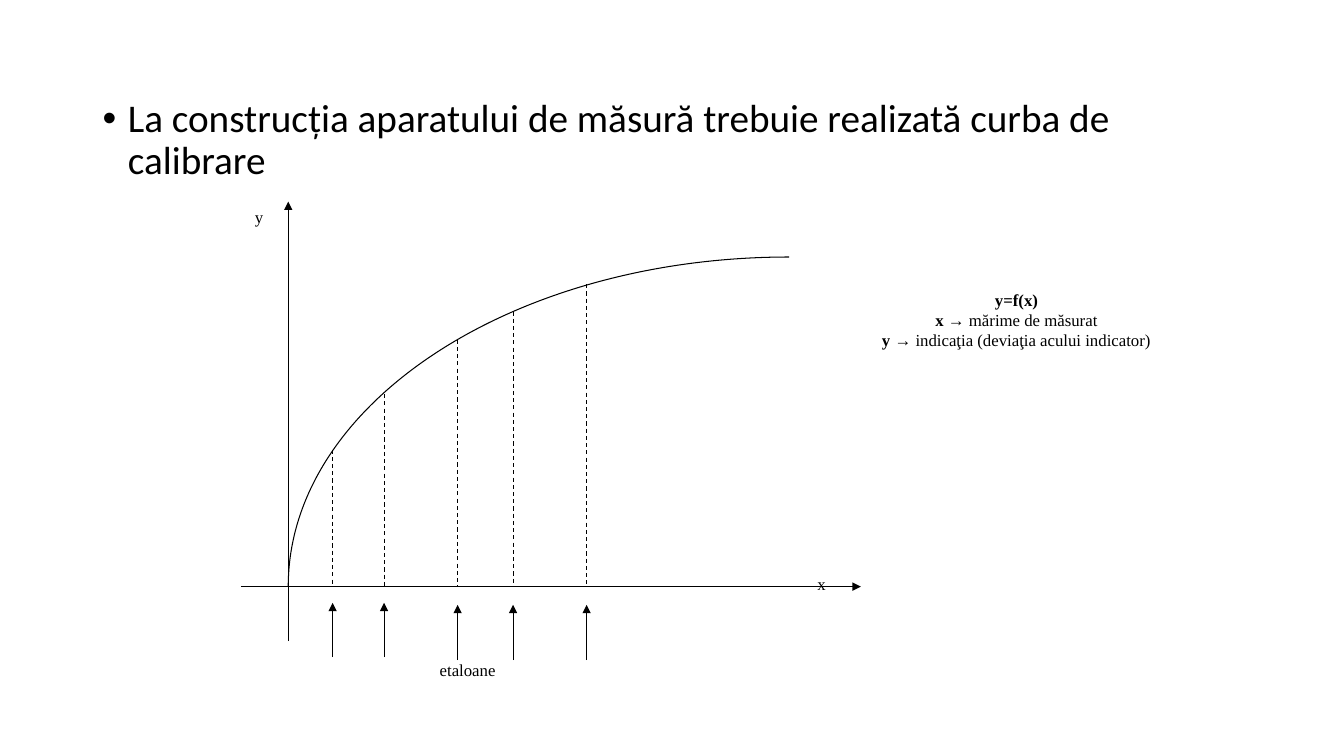
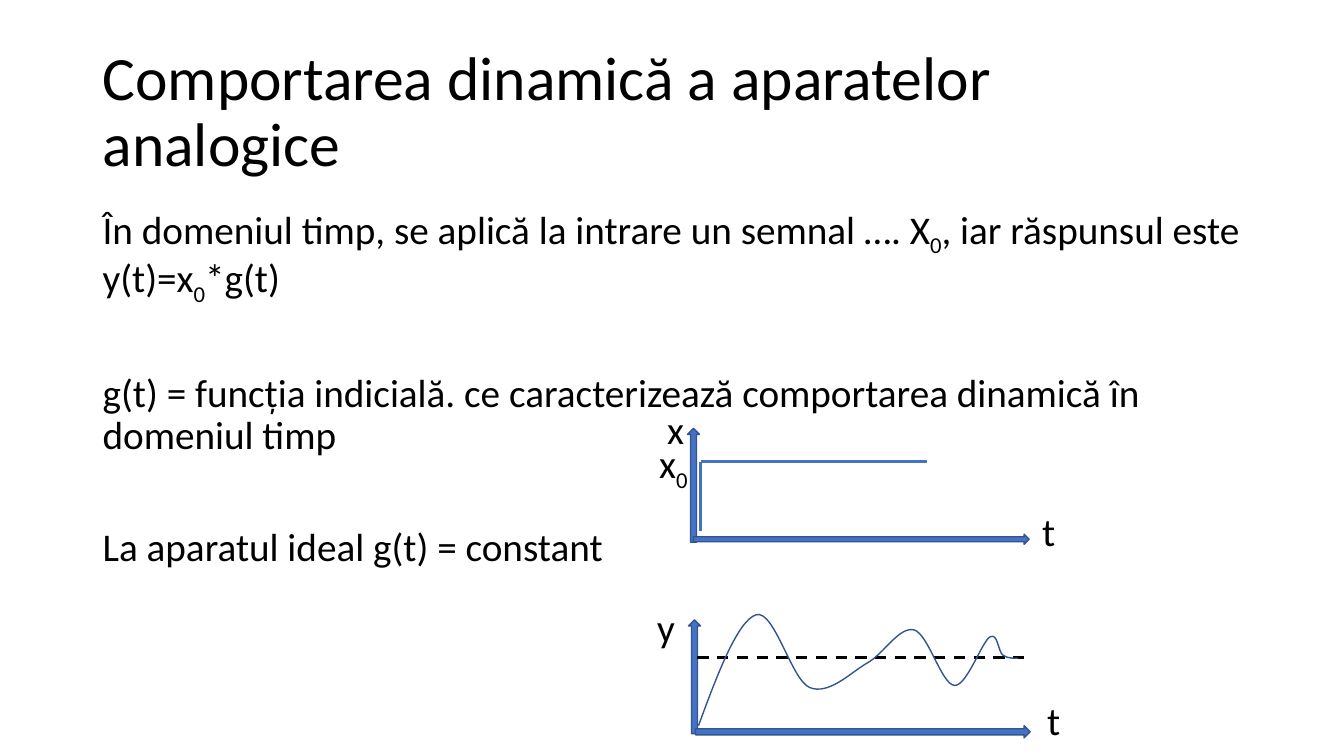
import dataclasses
import typing

import lxml.etree
import pptx
import pptx.dml.color
import pptx.enum.dml
import pptx.enum.shapes
import pptx.enum.text
import pptx.oxml.ns
import pptx.shapes.base
import pptx.slide
import pptx.util

EMU_PER_PX = 9144  # 100 px to the inch

RGB = pptx.dml.color.RGBColor
ALIGN = pptx.enum.text.PP_ALIGN
ANCHOR = pptx.enum.text.MSO_ANCHOR
SHAPE = pptx.enum.shapes.MSO_SHAPE
Point = tuple[int, int]
Bezier = tuple[Point, Point, Point]


@dataclasses.dataclass(frozen=True)
class Theme:
    ink: RGB = RGB(0x00, 0x00, 0x00)
    paper: RGB = RGB(0xFF, 0xFF, 0xFF)
    accent: RGB = RGB(0x44, 0x72, 0xC4)
    accent_dark: RGB = RGB(0x32, 0x54, 0x91)
    sans: str = "Calibri"
    serif: str = "Times New Roman"
    bullet: str = "Arial"
    title_pt: int = 44
    body_pt: int = 28
    label_pt: int = 12
    hairline_pt: float = 0.75
    outline_pt: float = 1
    signal_pt: float = 2


THEME = Theme()


class Box(typing.NamedTuple):
    left: int
    top: int
    width: int
    height: int


class Run(typing.NamedTuple):
    text: str
    bold: bool = False
    subscript: bool = False


@dataclasses.dataclass(frozen=True)
class Para:
    runs: tuple[Run, ...]
    space_before: int = 0
    line_spacing: float = 1.0
    align: ALIGN = ALIGN.LEFT
    bullet: bool = False


@dataclasses.dataclass(frozen=True)
class Label:
    box: Box
    paras: tuple[Para, ...]


@dataclasses.dataclass(frozen=True)
class Standard:
    """A calibration point: dashed ordinate and the arrow under it."""
    x: int
    curve_y: int
    arrow_tip: int
    arrow_foot: int


@dataclasses.dataclass(frozen=True)
class BlockArrow:
    kind: SHAPE
    box: Box


def px(n: int) -> int:
    return n * EMU_PER_PX


def plain(text: str, **options: typing.Any) -> Para:
    return Para((Run(text),), **options)


def body(*runs: Run, space_before: int = 10, bullet: bool = False) -> Para:
    return Para(runs, space_before, 0.9, bullet=bullet)


def add_child(parent: typing.Any, tag: str, **attrs: str) -> None:
    lxml.etree.SubElement(parent, pptx.oxml.ns.qn(tag), attrs)


def fill_text(sp: pptx.shapes.base.BaseShape, paras: typing.Sequence[Para],
              font: str, size: int) -> None:
    tf = sp.text_frame
    for i, para in enumerate(paras):
        p = tf.paragraphs[0] if i == 0 else tf.add_paragraph()
        p.alignment = para.align
        p.line_spacing = para.line_spacing
        p.space_before = pptx.util.Pt(para.space_before)
        if para.bullet:
            pPr = p._p.get_or_add_pPr()
            pPr.set("marL", str(px(25)))
            pPr.set("indent", str(px(-25)))
            add_child(pPr, "a:buFont", typeface=THEME.bullet)
            add_child(pPr, "a:buChar", char="•")
        for run in para.runs:
            r = p.add_run()
            r.text = run.text
            r.font.name = font
            r.font.size = pptx.util.Pt(size)
            r.font.bold = run.bold
            r.font.color.rgb = THEME.ink
            if run.subscript:
                r._r.get_or_add_rPr().set("baseline", "-25000")


def add_text(s: pptx.slide.Slide, box: Box, paras: typing.Sequence[Para],
             size: int = THEME.body_pt, wrap: bool = True,
             anchor: ANCHOR = ANCHOR.TOP) -> None:
    sp = s.shapes.add_textbox(*map(px, box))
    tf = sp.text_frame
    tf.word_wrap = wrap
    tf.vertical_anchor = anchor
    if not wrap:
        tf.auto_size = pptx.enum.text.MSO_AUTO_SIZE.SHAPE_TO_FIT_TEXT
    fill_text(sp, paras, THEME.sans, size)


def add_panel(s: pptx.slide.Slide, label: Label) -> None:
    sp = s.shapes.add_shape(SHAPE.RECTANGLE, *map(px, label.box))
    sp.shadow.inherit = False
    sp.fill.solid()
    sp.fill.fore_color.rgb = THEME.paper
    sp.line.fill.background()
    sp.text_frame.vertical_anchor = ANCHOR.TOP
    fill_text(sp, label.paras, THEME.serif, THEME.label_pt)


def add_block_arrow(s: pptx.slide.Slide, arrow: BlockArrow) -> None:
    sp = s.shapes.add_shape(arrow.kind, *map(px, arrow.box))
    sp.shadow.inherit = False
    sp.fill.solid()
    sp.fill.fore_color.rgb = THEME.accent
    sp.line.color.rgb = THEME.accent_dark
    sp.line.width = pptx.util.Pt(THEME.outline_pt)


def add_line(s: pptx.slide.Slide, start: Point, end: Point,
             width: float = THEME.hairline_pt, color: RGB = THEME.ink,
             dashed: bool = False, arrow: bool = False) -> None:
    c = s.shapes.add_connector(pptx.enum.shapes.MSO_CONNECTOR.STRAIGHT,
                               *map(px, (*start, *end)))
    c.line.color.rgb = color
    c.line.width = pptx.util.Pt(width)
    if dashed:
        c.line.dash_style = pptx.enum.dml.MSO_LINE.DASH
    spPr = c._element.spPr
    if arrow:
        add_child(spPr.find(pptx.oxml.ns.qn("a:ln")), "a:tailEnd", type="triangle")
    add_child(spPr, "a:effectLst")


def add_curve(s: pptx.slide.Slide, start: Point, curves: typing.Sequence[Bezier],
              width: float, color: RGB) -> None:
    builder = s.shapes.build_freeform(*map(px, start))
    builder.add_line_segments(
        [(px(x), px(y)) for curve in curves for x, y in curve], close=False)
    sp = builder.convert_to_shape()
    sp.shadow.inherit = False
    sp.fill.background()
    sp.line.color.rgb = color
    sp.line.width = pptx.util.Pt(width)

    # Each three straight segments become one cubic Bézier
    segments = list(sp._element.iter(pptx.oxml.ns.qn("a:lnTo")))
    for i in range(0, len(segments), 3):
        cubic = lxml.etree.Element(pptx.oxml.ns.qn("a:cubicBezTo"))
        segments[i].addprevious(cubic)
        for segment in segments[i:i + 3]:
            cubic.append(segment[0])
            segment.getparent().remove(segment)


# Calibration curve
ORIGIN = (286, 582)
CALIBRATION = (((286, 401), (509, 255), (783, 255)),)
STANDARDS = (
    Standard(330, 446, 598, 652),
    Standard(381, 391, 598, 652),
    Standard(454, 337, 600, 655),
    Standard(509, 309, 600, 655),
    Standard(582, 282, 600, 655),
)
PANELS = (
    Label(Box(831, 282, 355, 218), (
        Para((Run("y=f(x)", bold=True),), align=ALIGN.CENTER),
        Para((Run("x ", bold=True), Run("→ mărime de măsurat")), align=ALIGN.CENTER),
        Para((Run("y ", bold=True), Run("→ indicaţia (deviaţia acului indicator)")),
             align=ALIGN.CENTER),
    )),
    Label(Box(381, 650, 166, 66), (plain("etaloane", align=ALIGN.CENTER),)),
    Label(Box(801, 564, 47, 80), (plain("x"),)),
    Label(Box(243, 200, 47, 80), (plain("y"),)),
)

# Step input and oscillating response
BLOCK_ARROWS = (
    BlockArrow(SHAPE.UP_ARROW, Box(682, 425, 12, 113)),
    BlockArrow(SHAPE.UP_ARROW, Box(683, 615, 12, 113)),
    BlockArrow(SHAPE.RIGHT_ARROW, Box(688, 530, 333, 10)),
    BlockArrow(SHAPE.RIGHT_ARROW, Box(690, 720, 332, 12)),
)
STEP_INPUT = ((695, 527), (695, 458), (920, 458))
RESPONSE_START = (693, 720)
RESPONSE = (
    ((712, 668), (732, 616), (750, 610)),
    ((768, 604), (785, 674), (803, 682)),
    ((822, 690), (843, 668), (860, 658)),
    ((877, 649), (892, 621), (907, 625)),
    ((921, 629), (934, 679), (947, 680)),
    ((959, 681), (974, 637), (982, 632)),
    ((990, 627), (990, 646), (995, 650)),
    ((1000, 654), (1010, 653), (1010, 653)),
)
AXIS_LABELS = (
    Label(Box(652, 397, 37, 57), (plain("x"),)),
    Label(Box(642, 594, 38, 57), (plain("y"),)),
    Label(Box(644, 431, 51, 57), (Para((Run("x"), Run("0", subscript=True))),)),
    Label(Box(1024, 498, 33, 57), (plain("t"),)),
    Label(Box(1029, 686, 33, 57), (plain("t"),)),
)


def build_calibration(s: pptx.slide.Slide) -> None:
    add_text(s, Box(92, 93, 1150, 88), [body(
        Run("La construcția aparatului de măsură trebuie realizată curba de calibrare"),
        bullet=True)])
    for panel in PANELS:
        add_panel(s, panel)

    # Axes and curve
    add_line(s, (ORIGIN[0], 636), (ORIGIN[0], 200), arrow=True)
    add_line(s, (239, ORIGIN[1]), (854, ORIGIN[1]), arrow=True)
    add_curve(s, ORIGIN, CALIBRATION, THEME.hairline_pt, THEME.ink)

    # Standards
    for std in STANDARDS:
        add_line(s, (std.x, std.curve_y), (std.x, ORIGIN[1]), dashed=True)
    for std in STANDARDS:
        add_line(s, (std.x, std.arrow_foot), (std.x, std.arrow_tip), arrow=True)


def build_dynamics(s: pptx.slide.Slide) -> None:
    add_text(s, Box(92, 40, 1150, 145),
             [plain("Comportarea dinamică a aparatelor analogice", line_spacing=0.9)],
             size=THEME.title_pt, anchor=ANCHOR.MIDDLE)
    zero = Run("0", subscript=True)
    add_text(s, Box(92, 199, 1150, 476), [
        body(Run("În domeniul timp, se aplică la intrare un semnal …. X"), zero,
             Run(", iar răspunsul este y(t)=x"), zero, Run("*g(t)")),
        body(Run("g(t) = funcția indicială. ce caracterizează comportarea dinamică "
                 "în domeniul timp"), space_before=51),
        body(Run("La aparatul ideal g(t) = constant"), space_before=50),
    ])

    # Axes, step and response
    for arrow in BLOCK_ARROWS:
        add_block_arrow(s, arrow)
    for start, end in zip(STEP_INPUT, STEP_INPUT[1:]):
        add_line(s, start, end, THEME.signal_pt, THEME.accent)
    add_line(s, (692, 652), (1022, 652), THEME.signal_pt, dashed=True)
    add_curve(s, RESPONSE_START, RESPONSE, THEME.outline_pt, THEME.accent_dark)
    for label in AXIS_LABELS:
        add_text(s, label.box, label.paras, wrap=False)


def main() -> None:
    prs = pptx.Presentation()
    prs.slide_height = px(750)
    prs.slide_width = prs.slide_height * 16 // 9
    for build in (build_calibration, build_dynamics):
        build(prs.slides.add_slide(prs.slide_layouts[6]))
    prs.save("out.pptx")


if __name__ == "__main__":
    main()
